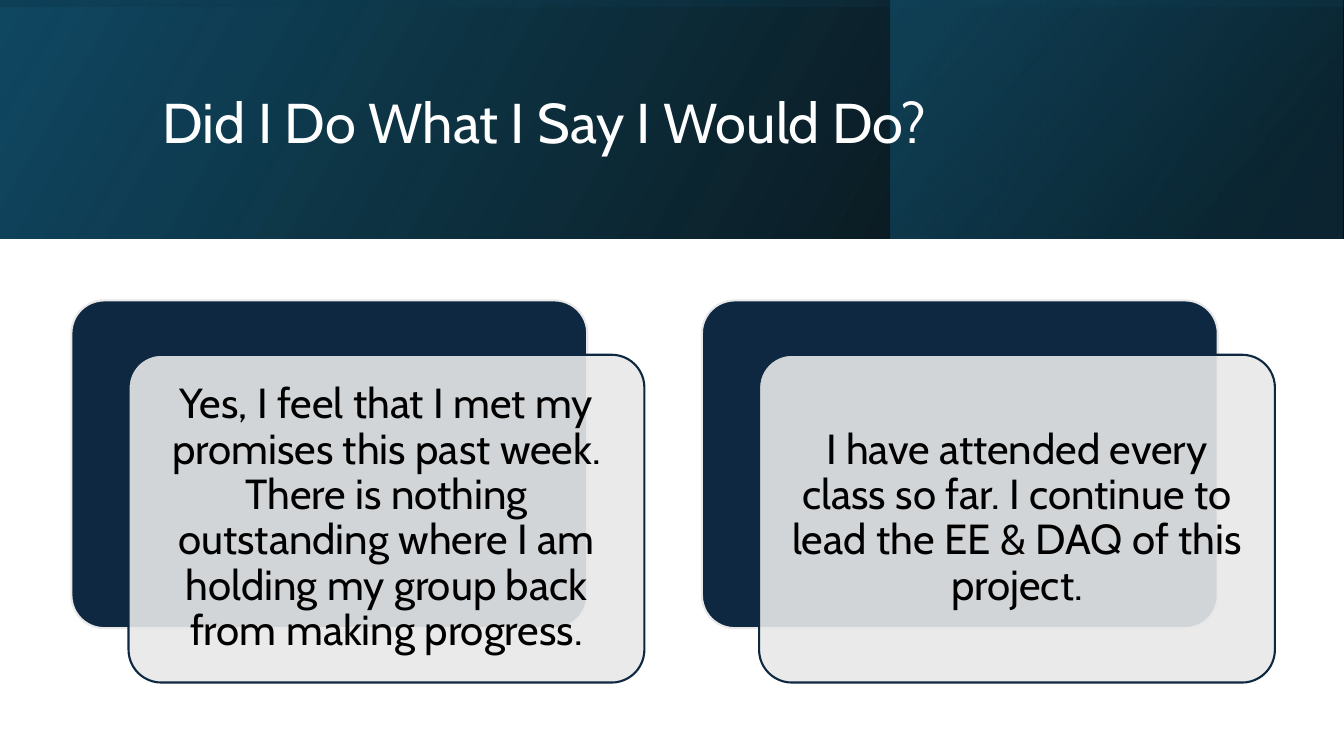
"""Build the slide answering whether the week's promises were kept."""
from typing import NamedTuple

from lxml import etree
from pptx import Presentation
from pptx.dml.color import RGBColor
from pptx.enum.shapes import MSO_SHAPE
from pptx.enum.text import MSO_ANCHOR, PP_ALIGN
from pptx.oxml.ns import qn
from pptx.util import Cm, Pt

RECT = MSO_SHAPE.RECTANGLE
ROUNDED = MSO_SHAPE.ROUNDED_RECTANGLE
MIDDLE = MSO_ANCHOR.MIDDLE
LEFT, CENTER = PP_ALIGN.LEFT, PP_ALIGN.CENTER

BLACK = RGBColor(0x00, 0x00, 0x00)
WHITE = RGBColor(0xFF, 0xFF, 0xFF)
NAVY = RGBColor(0x0E, 0x28, 0x41)
GRAY = RGBColor(0xE8, 0xE8, 0xE8)
BLUE = RGBColor(0x10, 0x48, 0x62)
DEEP_BLUE = RGBColor(0x0B, 0x30, 0x41)
TEAL = RGBColor(0x15, 0x60, 0x82)

FONT = "Cabin"
SLIDE_W, SLIDE_H = 33.87, 19.05
BANNER_H = 6.02
CARD_W, CARD_H = 13.0, 8.26
CARD_LEFT, CARD_TOP, CARD_PITCH = 1.8, 7.57, 15.89
FRONT_DX, FRONT_DY = 1.44, 1.37
TEXT_INSET = 0.24


class Box(NamedTuple):
    """Position and size in centimetres."""
    left: float
    top: float
    width: float
    height: float

    def lengths(self) -> list:
        """Return the four values as lengths."""
        return [Cm(value) for value in self]


class Stop(NamedTuple):
    """Gradient stop with position and opacity in percent."""
    position: int
    color: RGBColor
    opacity: int


class Panel(NamedTuple):
    """Mirrored gradient panel of the banner."""
    box: Box
    stops: tuple[Stop, Stop]
    clockwise_angle: int
    rotation: int = 0


PANELS = (
    Panel(Box(0, 0, SLIDE_W, BANNER_H),
          (Stop(0, BLACK, 96), Stop(100, BLUE, 100)), 330),
    Panel(Box(22.45, 0, 11.38, BANNER_H),
          (Stop(19, DEEP_BLUE, 68), Stop(100, TEAL, 48)), 320),
    Panel(Box((SLIDE_W - BANNER_H) / 2, (BANNER_H - SLIDE_W) / 2, BANNER_H, SLIDE_W),
          (Stop(23, BLUE, 16), Stop(99, BLACK, 45)), 350, 270),
)

ANSWERS = (
    "Yes, I feel that I met my promises this past week. There is nothing "
    "outstanding where I am holding my group back from making progress.",
    "I have attended every class so far. I continue to lead the EE & DAQ "
    "of this project.",
)


def set_opacity(color_element: etree._Element, percent: int) -> None:
    """Add an opacity to a colour element."""
    etree.SubElement(color_element, qn("a:alpha"), val=str(percent * 1000))


def add_panel(s, panel: Panel) -> None:
    """Draw one gradient panel."""
    sp = s.shapes.add_shape(RECT, *panel.box.lengths())
    sp.shadow.inherit = False
    sp.line.fill.background()
    sp.rotation = panel.rotation
    sp._element.spPr.find(qn("a:xfrm")).set("flipH", "1")
    sp.fill.gradient()
    sp.fill.gradient_angle = 360 - panel.clockwise_angle
    for target, stop in zip(sp.fill.gradient_stops, panel.stops):
        target.position = stop.position / 100
        target.color.rgb = stop.color
    for color, stop in zip(sp._element.spPr.iter(qn("a:srgbClr")), panel.stops):
        set_opacity(color, stop.opacity)


def add_card(s, box: Box, fill: RGBColor, line: RGBColor, opacity: int = 100) -> None:
    """Draw one rounded card."""
    sp = s.shapes.add_shape(ROUNDED, *box.lengths())
    sp.adjustments[0] = 0.1
    sp.shadow.inherit = False
    sp.fill.solid()
    sp.fill.fore_color.rgb = fill
    if opacity < 100:
        set_opacity(next(sp._element.spPr.iter(qn("a:srgbClr"))), opacity)
    sp.line.color.rgb = line
    sp.line.width = Pt(1.5)


def add_text(s, box: Box, text: str, size: int, color: RGBColor,
             align: PP_ALIGN, margins: tuple[float, float]) -> None:
    """Write one vertically centred paragraph."""
    tf = s.shapes.add_textbox(*box.lengths()).text_frame
    tf.word_wrap = True
    tf.vertical_anchor = MIDDLE
    tf.margin_left = tf.margin_right = Cm(margins[0])
    tf.margin_top = tf.margin_bottom = Cm(margins[1])
    p = tf.paragraphs[0]
    p.text = text
    p.alignment = align
    p.line_spacing = 0.9
    p.font.name = FONT
    p.font.size = Pt(size)
    p.font.color.rgb = color


def add_answer(s, index: int, text: str) -> None:
    """Draw a pair of overlapping cards with an answer on the front one."""
    back = Box(CARD_LEFT + index * CARD_PITCH, CARD_TOP, CARD_W, CARD_H)
    front = back._replace(left=back.left + FRONT_DX, top=back.top + FRONT_DY)
    inner = Box(front.left + TEXT_INSET, front.top + TEXT_INSET,
                CARD_W - 2 * TEXT_INSET, CARD_H - 2 * TEXT_INSET)
    add_card(s, back, NAVY, GRAY)
    add_card(s, front, GRAY, NAVY, 90)
    add_text(s, inner, text, 30, BLACK, CENTER, (0.3, 0.3))


def main() -> None:
    """Build and save the presentation."""
    prs = Presentation()
    prs.slide_width, prs.slide_height = Cm(SLIDE_W), Cm(SLIDE_H)
    s = prs.slides.add_slide(prs.slide_layouts[6])
    for panel in PANELS:
        add_panel(s, panel)
    add_text(s, Box(3.84, 0.97, 27, 4.37), "Did I Do What I Say I Would Do?",
             40, WHITE, LEFT, (0.25, 0.13))
    for index, text in enumerate(ANSWERS):
        add_answer(s, index, text)
    prs.save("out.pptx")


if __name__ == "__main__":
    main()
